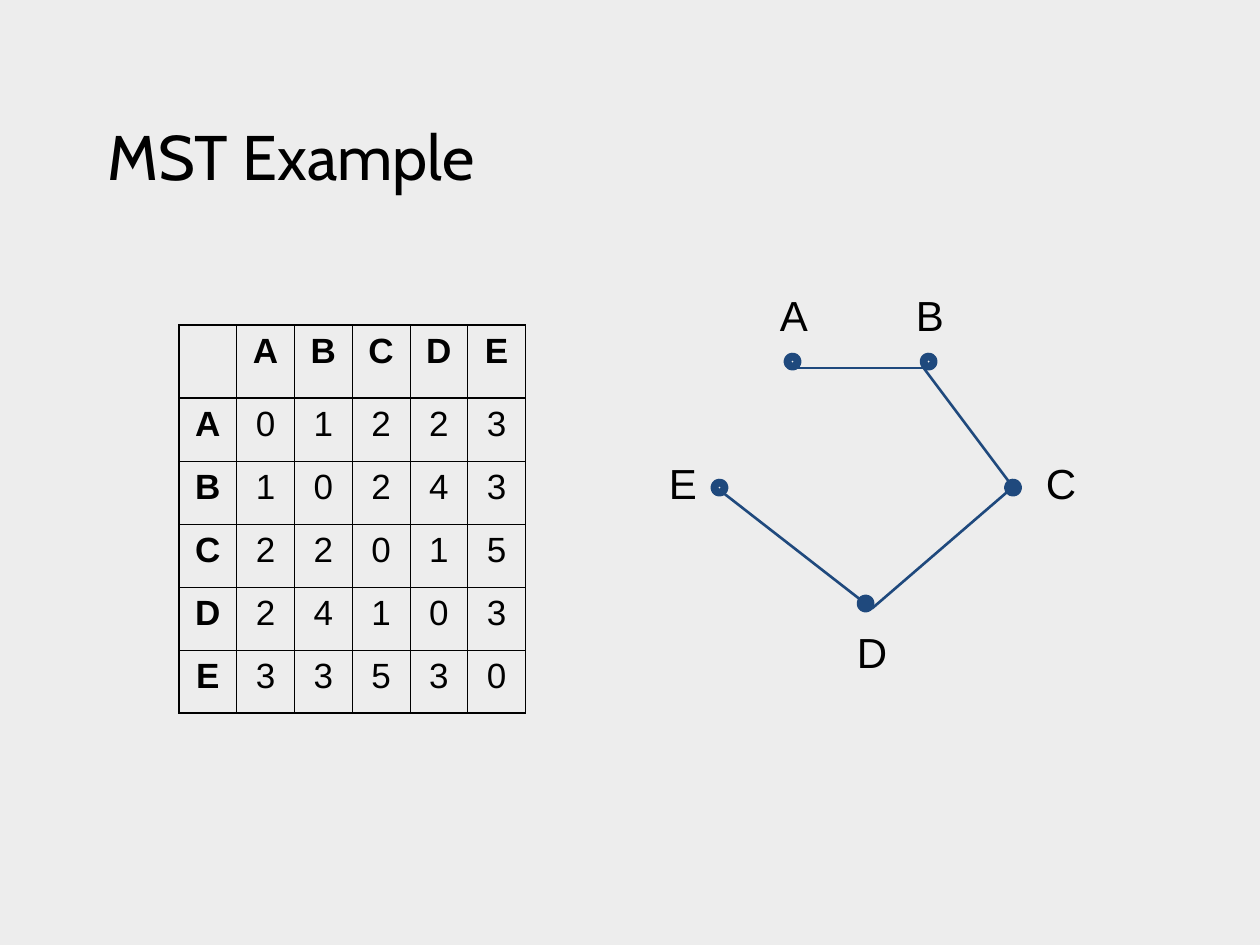
from lxml import etree
from pptx import Presentation
from pptx.dml.color import RGBColor
from pptx.enum.shapes import MSO_CONNECTOR, MSO_SHAPE
from pptx.enum.text import MSO_ANCHOR, MSO_AUTO_SIZE, PP_ALIGN
from pptx.oxml.ns import qn
from pptx.util import Inches, Pt

STRAIGHT = MSO_CONNECTOR.STRAIGHT
OVAL = MSO_SHAPE.OVAL
BOTTOM = MSO_ANCHOR.BOTTOM
FIT_SHAPE = MSO_AUTO_SIZE.SHAPE_TO_FIT_TEXT
LEFT, CENTER = PP_ALIGN.LEFT, PP_ALIGN.CENTER
TITLE_ONLY = 5

COLORS = {"background": "EDEDED", "text": "000000", "border": "000000", "graph": "1F497D"}
VERTICES = "ABCDE"
WEIGHTS = ["01223", "10243", "22015", "24103", "33530"]
THIN, OUTER, HEADER = 0.45, 1.08, 1.47


def style_text(para, size, font, align, bold=False):
    para.alignment = align
    para.font.size = Pt(size)
    para.font.name = font
    para.font.bold = bold
    para.font.color.rgb = RGBColor.from_string(COLORS["text"])


def add_border(cell, side, width):
    line = etree.SubElement(cell._tc.get_or_add_tcPr(), qn(f"a:ln{side}"), w=str(Pt(width)))
    fill = etree.SubElement(line, qn("a:solidFill"))
    etree.SubElement(fill, qn("a:srgbClr"), val=COLORS["border"])


deck = Presentation()
deck.slide_width, deck.slide_height = Inches(10), Inches(7.5)
page = deck.slides.add_slide(deck.slide_layouts[TITLE_ONLY])
page.background.fill.solid()
page.background.fill.fore_color.rgb = RGBColor.from_string(COLORS["background"])

title = page.shapes.title
title.left, title.top = Inches(0.75), Inches(0)
title.width, title.height = Inches(8.5), Inches(1.58)
title.text_frame.text = "MST Example"
title.text_frame.vertical_anchor = BOTTOM
style_text(title.text_frame.paragraphs[0], 36, "Cabin", LEFT)

rows = [" " + VERTICES] + [name + weights for name, weights in zip(VERTICES, WEIGHTS)]
count = len(rows)
matrix = page.shapes.add_table(
    count, count, Inches(1.42), Inches(2.58), Inches(2.75), Inches(3)
).table
matrix.first_row = matrix.horz_banding = False
matrix.rows[0].height = Inches(0.58)
last = count - 1
for r, row in enumerate(rows):
    for c, entry in enumerate(row):
        cell = matrix.cell(r, c)
        add_border(cell, "L", OUTER if c == 0 else THIN)
        add_border(cell, "R", OUTER if c == last else THIN)
        add_border(cell, "T", {0: OUTER, 1: HEADER}.get(r, THIN))
        add_border(cell, "B", {0: HEADER, last: OUTER}.get(r, THIN))
        cell.fill.background()
        if entry.strip():
            cell.text_frame.text = entry
            para = cell.text_frame.paragraphs[0]
            style_text(para, 20, "Arial", CENTER, bold=r == 0 or c == 0)
            para.space_before = Pt(5)

nodes = [(6.25, 2.83), (7.33, 2.83), (8, 3.83), (5.67, 3.83), (6.83, 4.75)]
for left, top in nodes:
    node = page.shapes.add_shape(OVAL, Inches(left), Inches(top), Inches(0.08), Inches(0.08))
    node.shadow.inherit = False
    node.fill.background()
    node.line.color.rgb = RGBColor.from_string(COLORS["graph"])
    node.line.width = Pt(4.5)

labels = [
    ("B", 7.17, 2.25, 0.42, False),
    ("A", 6.09, 2.25, 0.42, False),
    ("E", 5.17, 3.58, 0.5, True),
    ("C", 8.17, 3.58, 0.5, True),
    ("D", 6.67, 4.92, 0.5, True),
]
for name, left, top, width, wrap in labels:
    box = page.shapes.add_textbox(Inches(left), Inches(top), Inches(width), Inches(0.5))
    box.text_frame.word_wrap = wrap
    box.text_frame.auto_size = FIT_SHAPE
    box.text_frame.text = name
    style_text(box.text_frame.paragraphs[0], 24, "Arial", CENTER)

edges = [
    (6.33, 2.92, 7.33, 2.92),
    (6.92, 4.83, 8.08, 3.83),
    (7.33, 2.92, 8.08, 3.92),
    (5.75, 3.92, 6.92, 4.83),
]
for ends in edges:
    edge = page.shapes.add_connector(STRAIGHT, *map(Inches, ends))
    edge.line.color.rgb = RGBColor.from_string(COLORS["graph"])
    edge.line.width = Pt(1.5)
    etree.SubElement(edge._element.spPr, qn("a:effectLst"))

deck.save("out.pptx")
